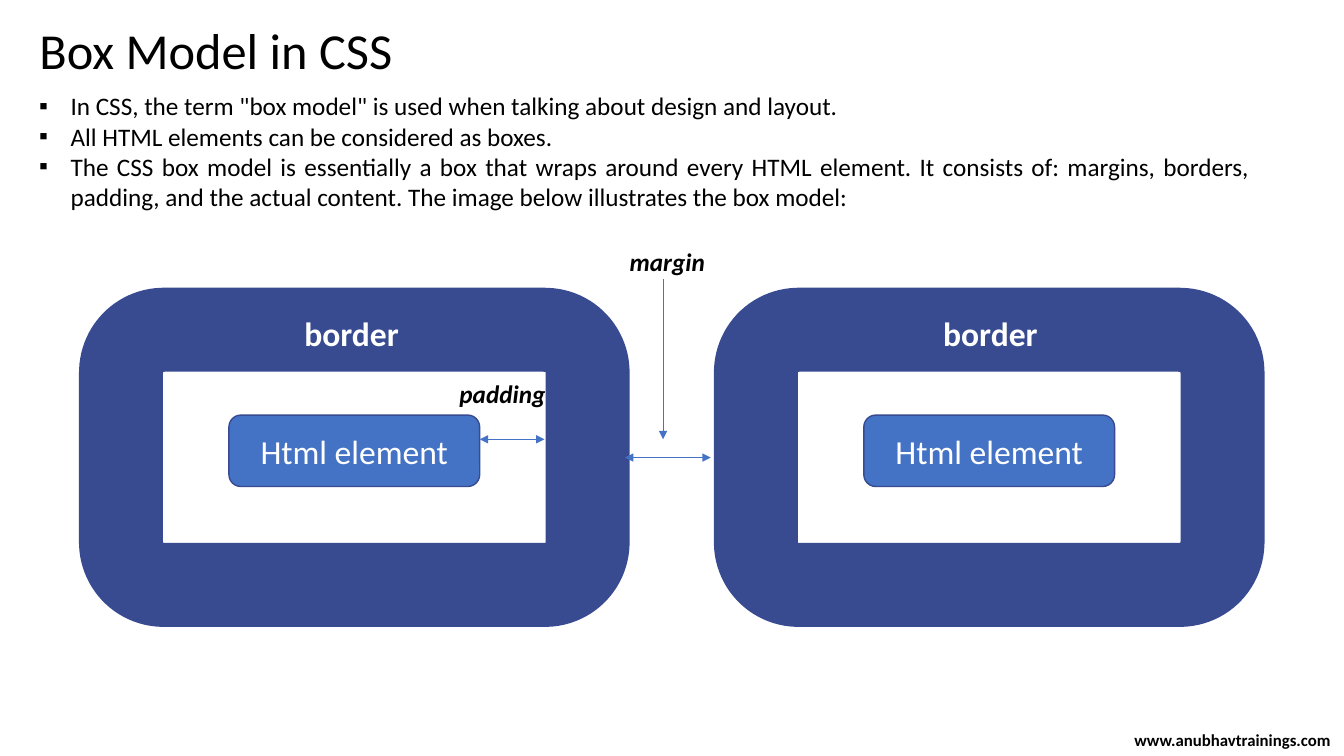
from dataclasses import dataclass

from pptx import Presentation
from pptx.dml.color import RGBColor
from pptx.enum.shapes import MSO_CONNECTOR, MSO_SHAPE
from pptx.enum.text import MSO_ANCHOR as ANCHOR, MSO_AUTO_SIZE as AUTO_SIZE, PP_ALIGN as ALIGN
from pptx.oxml.ns import qn
from pptx.util import Cm, Pt
from lxml.etree import SubElement


@dataclass(frozen=True)
class Theme:
    font: str = "Calibri"
    ink: RGBColor = RGBColor(0, 0, 0)
    white: RGBColor = RGBColor(255, 255, 255)
    blue: RGBColor = RGBColor(0x44, 0x72, 0xC4)
    navy: RGBColor = RGBColor(0x38, 0x4B, 0x91)
    title: int = 36
    box: int = 24
    body: int = 18
    footer: int = 12


THEME = Theme()
BULLETS = [
    'In CSS, the term "box model" is used when talking about design and layout.',
    "All HTML elements can be considered as boxes.",
    "The CSS box model is essentially a box that wraps around every HTML element. "
    "It consists of: margins, borders, padding, and the actual content. "
    "The image below illustrates the box model:",
]


def write(p, text, size=THEME.body, color=THEME.ink, bold=False, italic=False,
          align=ALIGN.LEFT):
    p.alignment = align
    r = p.add_run()
    r.text = text
    r.font.name = THEME.font
    r.font.size = Pt(size)
    r.font.color.rgb = color
    r.font.bold = bold
    r.font.italic = italic


def add_title(s, text):
    title = s.shapes.title
    title.left, title.top, title.width, title.height = Cm(0.74), Cm(0.53), Cm(31.01), Cm(1.65)
    tf = title.text_frame
    tf.auto_size = AUTO_SIZE.NONE
    tf.vertical_anchor = ANCHOR.TOP
    p = tf.paragraphs[0]
    p.line_spacing = 0.9
    write(p, text, size=THEME.title)


def add_frame(s, x, y, w, h, anchor=ANCHOR.TOP):
    tf = s.shapes.add_textbox(Cm(x), Cm(y), Cm(w), Cm(h)).text_frame
    tf.word_wrap = True
    tf.vertical_anchor = anchor
    return tf


def add_label(s, text, x, y, w, h, anchor=ANCHOR.TOP, **fmt):
    write(add_frame(s, x, y, w, h, anchor).paragraphs[0], text, bold=True, **fmt)


def add_bullets(s, items, x, y, w, h):
    tf = add_frame(s, x, y, w, h)
    for i, item in enumerate(items):
        p = tf.add_paragraph() if i else tf.paragraphs[0]
        pPr = p._p.get_or_add_pPr()
        pPr.set("marL", str(Cm(0.79)))
        pPr.set("indent", str(-Cm(0.79)))
        SubElement(pPr, qn("a:buFont"), typeface="Arial")
        SubElement(pPr, qn("a:buChar"), char="▪")
        write(p, item, align=ALIGN.JUSTIFY)


def add_round_box(s, x, y, w, h, line_width, fill=None):
    sp = s.shapes.add_shape(MSO_SHAPE.ROUNDED_RECTANGLE, Cm(x), Cm(y), Cm(w), Cm(h))
    sp.shadow.inherit = False
    if fill is None:
        sp.fill.background()
    else:
        sp.fill.solid()
        sp.fill.fore_color.rgb = fill
    sp.line.color.rgb = THEME.navy
    sp.line.width = Pt(line_width)
    return sp


def add_box_model(s, x, label_x):
    element = add_round_box(s, x + 2.72, 10.46, 6.32, 1.8, 1, THEME.blue)
    tf = element.text_frame
    tf.word_wrap = True
    tf.vertical_anchor = ANCHOR.MIDDLE
    write(tf.paragraphs[0], "Html element", size=THEME.box, color=THEME.white,
          align=ALIGN.CENTER)
    add_round_box(s, x, 8.31, 11.76, 6.43, 60)
    add_label(s, "border", label_x, 7.75, 3.99, 1.07, size=THEME.box, color=THEME.white)


def add_arrow(s, x1, y1, x2, y2, ends=("tailEnd",)):
    line = s.shapes.add_connector(MSO_CONNECTOR.STRAIGHT, Cm(x1), Cm(y1), Cm(x2), Cm(y2))
    line.line.color.rgb = THEME.blue
    line.line.width = Pt(0.75)
    ln = line.line._get_or_add_ln()
    for end in ends:
        SubElement(ln, qn(f"a:{end}"), type="triangle")
    SubElement(line._element.spPr, qn("a:effectLst"))


def main():
    prs = Presentation()
    prs.slide_width, prs.slide_height = Cm(33.87), Cm(19.05)
    s = prs.slides.add_slide(prs.slide_layouts[5])
    both = ("headEnd", "tailEnd")

    add_title(s, "Box Model in CSS")
    add_bullets(s, BULLETS, 0.74, 2.16, 31.01, 3.33)
    add_label(s, "www.anubhavtrainings.com", 28.27, 18.44, 5.59, 0.41, ANCHOR.MIDDLE,
              size=THEME.footer, align=ALIGN.CENTER)

    for x, label_x in ((3.05, 7.42), (19.05, 23.52)):
        add_box_model(s, x, label_x)

    add_arrow(s, 12.09, 11.07, 13.72, 11.07, both)
    add_label(s, "padding", 11.33, 9.42, 3.43, 0.84, italic=True)
    add_label(s, "margin", 15.62, 6.07, 3.43, 0.84, italic=True)
    add_arrow(s, 16.71, 7.04, 16.71, 11.07)
    add_arrow(s, 15.75, 11.53, 17.91, 11.53, both)

    prs.save("out.pptx")


if __name__ == "__main__":
    main()
